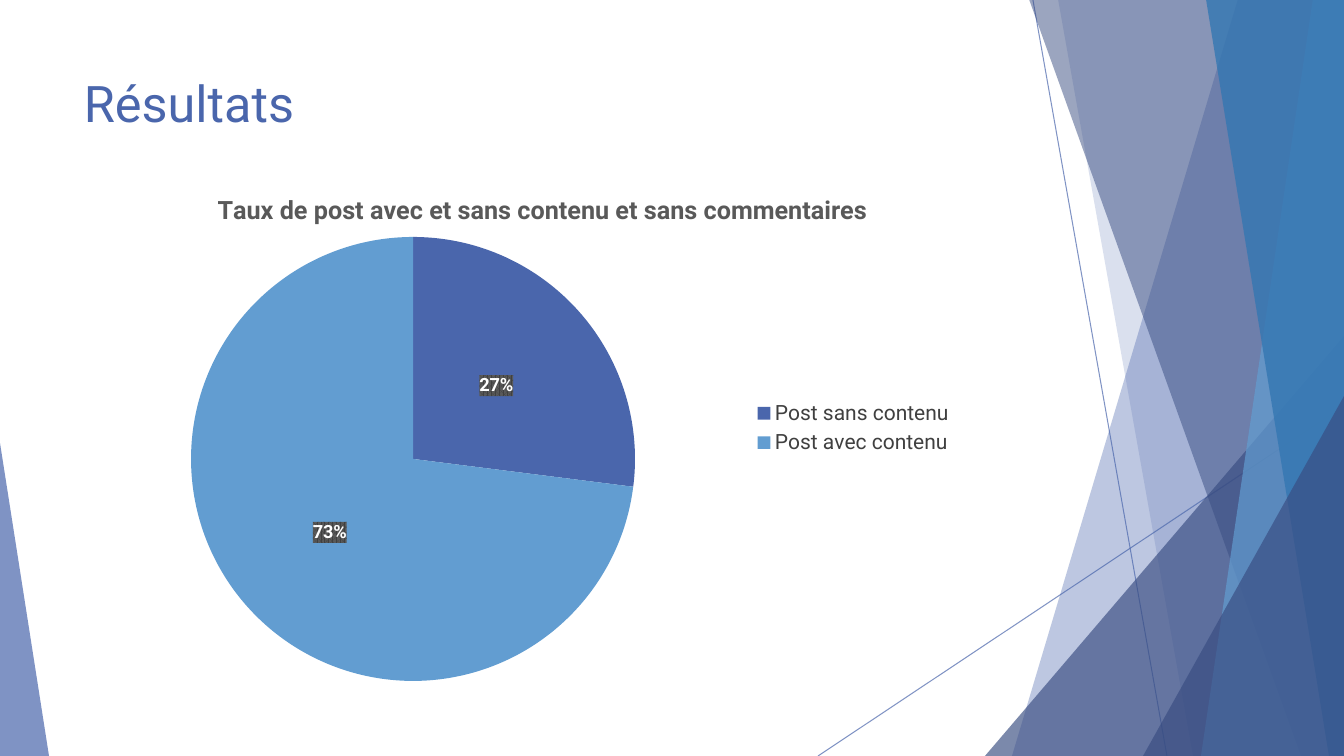
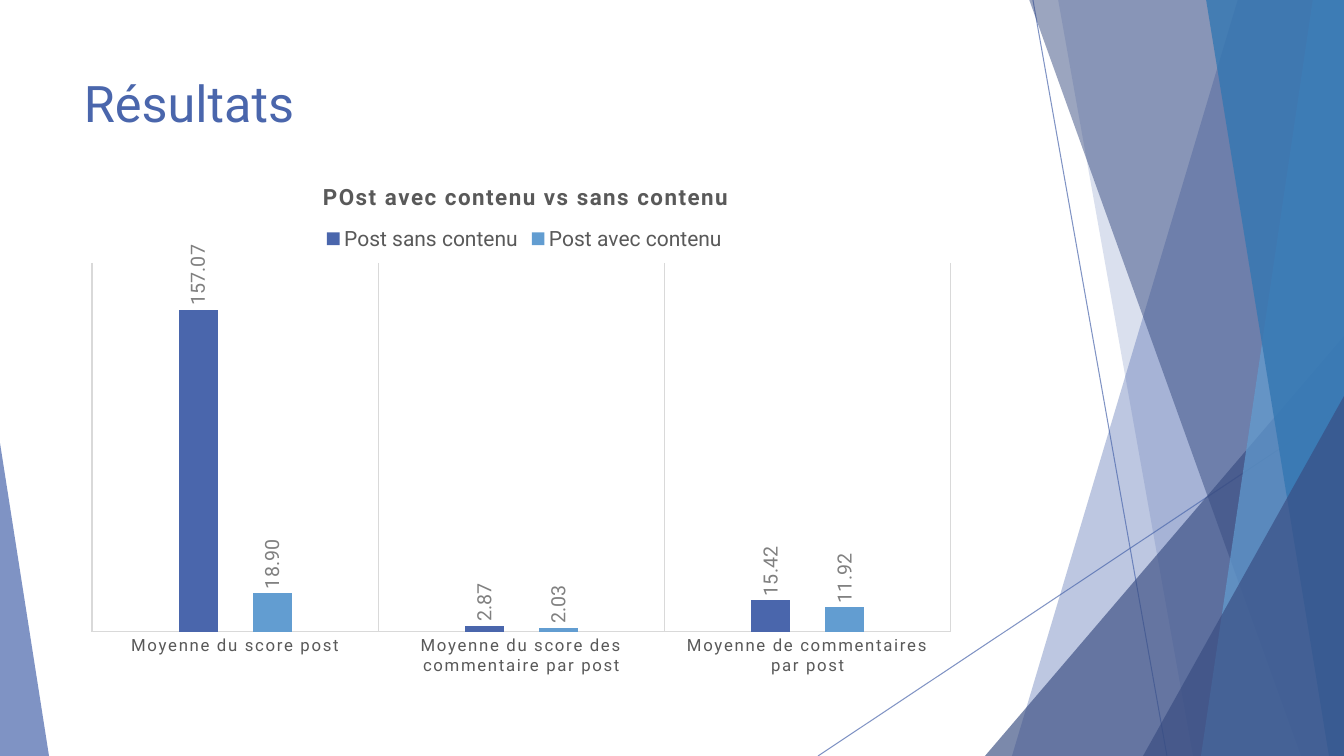
"""Build two result slides, a pie chart and a column chart, on a faceted blue background."""
from dataclasses import dataclass

from lxml import etree
from pptx import Presentation
from pptx import util as u
from pptx.chart import data as chart_data
from pptx.dml.color import RGBColor
from pptx.enum import chart as charts, shapes, text
from pptx.oxml import parse_xml
from pptx.oxml.ns import nsdecls, qn


@dataclass(frozen=True)
class Theme:
    font: str = "Roboto"
    blue: str = "4A66AC"
    navy: str = "384C81"
    sky: str = "629DD1"
    ocean: str = "3477B2"
    white: str = "FFFFFF"
    dark: str = "404040"
    text: str = "595959"
    label: str = "808080"
    rule: str = "D9D9D9"
    heading_size: int = 36
    pie_title_size: int = 18
    column_title_size: int = 16
    legend_size: int = 15
    column_label_size: int = 14
    pie_label_size: int = 13
    axis_size: int = 12
    line_width: float = 0.75


theme = Theme()
SCALE = 914400 / 100.8
WIDTH, HEIGHT = 1344, 756


def px(*lengths):
    """Turn pixels into EMU."""
    return [u.Emu(round(length * SCALE)) for length in lengths]


def style_font(font, size, color, bold=False, spacing=0):
    """Set the typeface, size, colour, weight and letter spacing of a font."""
    font.name, font.size, font.bold = theme.font, u.Pt(size), bold
    font.color.rgb = RGBColor.from_string(color)
    if spacing:
        font._element.set("spc", str(spacing))


presentation = Presentation()
presentation.slide_width, presentation.slide_height = px(WIDTH, HEIGHT)

facets = [
    ("line", (1033, 0, 1167, HEIGHT), theme.blue, 70),
    ("line", (WIDTH, 406, 818, HEIGHT), theme.blue, 70),
    ("slant", (1238, 1012), theme.blue, 36),
    ("slant", (1058, 1193), theme.blue, 20),
    ("right apex", (985, 336, 359, 420), theme.navy, 66),
    ("slant", (1029, 1301), theme.navy, 50),
    ("slant", (1313, 1201), theme.sky, 70),
    ("slant", (1206, 1329), theme.ocean, 80),
    ("right apex", (1143, 396, 201, 360), theme.navy, 66),
    ("left apex", (0, 443, 49, 313), theme.blue, 70),
]

for number in range(2):
    slide = presentation.slides.add_slide(presentation.slide_layouts[6])
    for kind, place, color, opacity in facets:
        if kind == "line":
            shape = slide.shapes.add_connector(shapes.MSO_CONNECTOR.STRAIGHT, *px(*place))
            shape.line.width = u.Pt(theme.line_width)
            shape.line.color.rgb = RGBColor.from_string(color)
            etree.SubElement(shape.element.spPr, qn("a:effectLst"))
        else:
            if kind == "slant":
                top, bottom = place
                builder = slide.shapes.build_freeform(top, -1, SCALE)
                builder.add_line_segments([(WIDTH, -1), (WIDTH, HEIGHT), (bottom, HEIGHT)])
                shape = builder.convert_to_shape()
            else:
                shape = slide.shapes.add_shape(shapes.MSO_SHAPE.ISOSCELES_TRIANGLE, *px(*place))
                shape.adjustments[0] = 1 if kind == "right apex" else 0
            shape.shadow.inherit = False
            shape.fill.solid()
            shape.fill.fore_color.rgb = RGBColor.from_string(color)
            shape.line.fill.background()
        for tint in shape.element.iter(qn("a:srgbClr")):
            etree.SubElement(tint, qn("a:alpha"), val=str(opacity * 1000))

    heading = slide.shapes.add_textbox(*px(74, 67, 948, 145)).text_frame
    heading.word_wrap = True
    heading.vertical_anchor = text.MSO_ANCHOR.TOP
    run = heading.paragraphs[0].add_run()
    run.text = "Résultats"
    style_font(run.font, theme.heading_size, theme.blue)

pie_data = chart_data.CategoryChartData()
pie_data.categories = ["Post sans contenu", "Post avec contenu"]
pie_data.add_series("Series 1", (27, 73))

column_data = chart_data.CategoryChartData(number_format="#,##0.00")
column_data.categories = [
    "Moyenne du score post",
    "Moyenne du score des commentaire par post",
    "Moyenne de commentaires par post",
]
column_data.add_series("Post sans contenu", (157.07, 2.87, 15.42))
column_data.add_series("Post avec contenu", (18.9, 2.03, 11.92))

chart_specs = [
    dict(kind=charts.XL_CHART_TYPE.PIE, data=pie_data, frame=(74, 162, 890, 532),
         title="Taux de post avec et sans contenu et sans commentaires",
         title_size=theme.pie_title_size, spacing=0, title_at=(213, 189),
         legend=charts.XL_LEGEND_POSITION.RIGHT, legend_color=theme.dark,
         legend_at=None, plot=(191, 237, 444, 444)),
    dict(kind=charts.XL_CHART_TYPE.COLUMN_CLUSTERED, data=column_data, frame=(74, 157, 894, 529),
         title="POst avec contenu vs sans contenu",
         title_size=theme.column_title_size, spacing=120, title_at=(319, 179),
         legend=charts.XL_LEGEND_POSITION.TOP, legend_color=theme.text,
         legend_at=(320, 222), plot=(92, 263, 859, 369)),
]

built = []
for slide, spec in zip(presentation.slides, chart_specs):
    chart = slide.shapes.add_chart(spec["kind"], *px(*spec["frame"]), spec["data"]).chart
    built.append(chart)
    chart.font.name, chart.font.size = theme.font, u.Pt(10)
    chart.has_title = True
    run = chart.chart_title.text_frame.paragraphs[0].add_run()
    run.text = spec["title"]
    style_font(run.font, spec["title_size"], theme.text, True, spec["spacing"])
    chart.chart_title.include_in_layout = False
    chart.has_legend = True
    chart.legend.position = spec["legend"]
    chart.legend.include_in_layout = False
    style_font(chart.legend.font, theme.legend_size, spec["legend_color"])

    left, top, width, height = spec["frame"]
    plot_area = chart.plots[0]._element.getparent()
    for element, index, place in [
        (chart.chart_title._element, 1, spec["title_at"]),
        (chart.legend._element, 1, spec["legend_at"]),
        (plot_area, 0, spec["plot"]),
    ]:
        if place is None:
            continue
        for old in element.findall(qn("c:layout")):
            element.remove(old)
        layout = etree.Element(qn("c:layout"))
        manual = etree.SubElement(layout, qn("c:manualLayout"))
        if element is plot_area:
            etree.SubElement(manual, qn("c:layoutTarget"), val="inner")
        for mode in ("xMode", "yMode"):
            etree.SubElement(manual, qn("c:" + mode), val="edge")
        origin = (left, top, 0, 0)
        for name, length, start, whole in zip("xywh", place, origin, (width, height) * 2):
            etree.SubElement(manual, qn("c:" + name), val=f"{(length - start) / whole:.4f}")
        element.insert(index, layout)

pie, columns = built
colors = (theme.blue, theme.sky)

pie.plots[0].vary_by_categories = True
pie_series = pie.plots[0].series[0]
for index, color in enumerate(colors):
    wedge = pie_series.points[index].format
    wedge.fill.solid()
    wedge.fill.fore_color.rgb = RGBColor.from_string(color)
    wedge.line.fill.background()
labels = pie_series.data_labels
labels.show_percentage, labels.show_value = True, False
labels.number_format, labels.number_format_is_linked = "0%", False
labels.position = charts.XL_LABEL_POSITION.CENTER
style_font(labels.font, theme.pie_label_size, theme.white, True)
labels._element.find(qn("c:txPr")).addprevious(parse_xml(
    f'<c:spPr {nsdecls("c", "a")}><a:pattFill prst="pct75">'
    f'<a:fgClr><a:srgbClr val="{theme.dark}"/></a:fgClr>'
    f'<a:bgClr><a:srgbClr val="{theme.text}"/></a:bgClr>'
    '</a:pattFill><a:ln><a:noFill/></a:ln></c:spPr>'))

column_plot = columns.plots[0]
column_plot.vary_by_categories = False
column_plot.gap_width, column_plot.overlap = 444, -90
for series, color in zip(column_plot.series, colors):
    series.format.fill.solid()
    series.format.fill.fore_color.rgb = RGBColor.from_string(color)
    labels = series.data_labels
    labels.show_value = True
    labels.number_format, labels.number_format_is_linked = "#,##0.00", False
    labels.position = charts.XL_LABEL_POSITION.OUTSIDE_END
    style_font(labels.font, theme.column_label_size, theme.label)
    body = labels._element.find(qn("c:txPr")).find(qn("a:bodyPr"))
    body.set("rot", "-5400000")
    body.set("vert", "horz")

category_axis = columns.category_axis
category_axis.major_tick_mark = charts.XL_TICK_MARK.NONE
category_axis.has_major_gridlines = True
style_font(category_axis.tick_labels.font, theme.axis_size, theme.text, spacing=120)
for line in (category_axis.format.line, category_axis.major_gridlines.format.line):
    line.color.rgb = RGBColor.from_string(theme.rule)
    line.width = u.Pt(theme.line_width)
value_axis = columns.value_axis
value_axis.visible = False
value_axis.has_major_gridlines = False
value_axis.minimum_scale, value_axis.maximum_scale = 0, 180

presentation.save("out.pptx")
